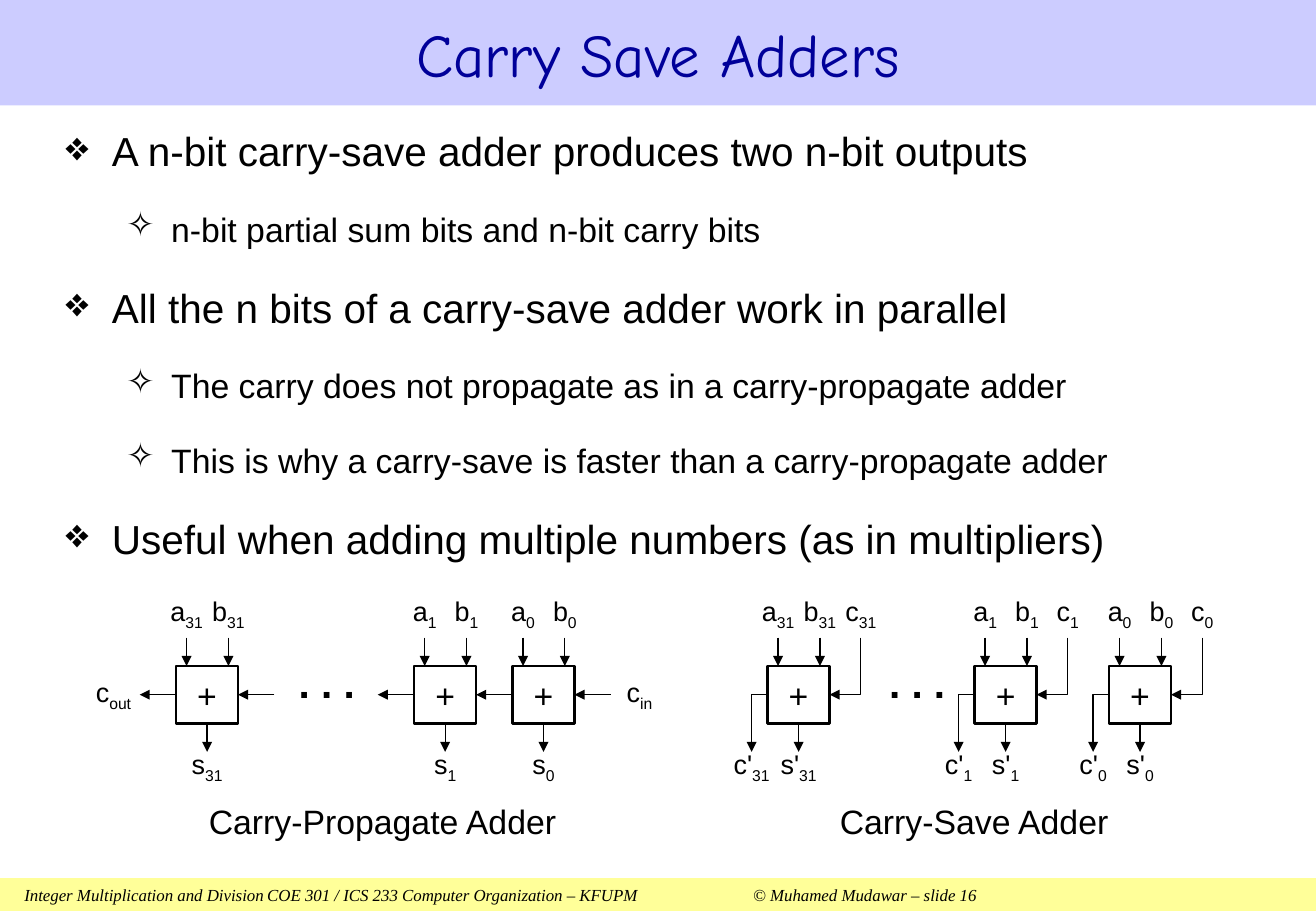
from dataclasses import dataclass

from lxml.etree import SubElement
from pptx import Presentation
from pptx.dml.color import RGBColor
from pptx.enum.shapes import MSO_CONNECTOR as Connector, MSO_SHAPE as Shape
from pptx.enum.text import MSO_ANCHOR as Anchor, PP_ALIGN as Align
from pptx.oxml.ns import qn
from pptx.util import Pt


@dataclass(frozen=True)
class Theme:
    black: RGBColor = RGBColor(0, 0, 0)
    title_ink: RGBColor = RGBColor(0, 0, 0x99)
    title_band: RGBColor = RGBColor(0xCC, 0xCC, 0xFF)
    footer_band: RGBColor = RGBColor(0xFF, 0xFF, 0x99)
    body_font: str = "Arial"
    title_font: str = "Comic Neue"
    footer_font: str = "Times New Roman"
    title_size: int = 36
    large: int = 24
    medium: int = 20
    signal_size: int = 16
    footer_size: int = 10
    wire: float = 0.75
    outline: float = 1.5


THEME = Theme()
TOP, BOTTOM, LEFT, RIGHT = range(4)  # connection sites, with their order in a rectangle
TOP, LEFT, BOTTOM, RIGHT = 0, 1, 2, 3

SLIDE_W, SLIDE_H = 780, 540
FOOTER_TABS = (144, 432)

# Adder cell geometry; the column offsets start at the cell's left edge
CELL_W, CELL_H, CELL_TOP = 36.7, 34, 394.8
CELL_MID, CELL_BOTTOM = CELL_TOP + CELL_H / 2, CELL_TOP + CELL_H
A_COL, B_COL, CARRY_IN_COL, CARRY_OUT_COL = 6.2, 31, 55.2, -9.5
INPUT_TOP, OUTPUT_END = 378, 445.7
INPUT_LABEL_TOP, OUTPUT_LABEL_TOP, CARRY_LABEL_TOP = 352.1, 442.8, 400.3
CARRY_LEN = 21.6

PROPAGATE_CELLS = (("0", 303.8), ("1", 245.5), ("31", 104.4))
SAVE_CELLS = (("31", 455), ("1", 577.7), ("0", 657.4))

BULLETS = (
    (0, "A n-bit carry-save adder produces two n-bit outputs"),
    (1, "n-bit partial sum bits and n-bit carry bits"),
    (0, "All the n bits of a carry-save adder work in parallel"),
    (1, "The carry does not propagate as in a carry-propagate adder"),
    (1, "This is why a carry-save is faster than a carry-propagate adder"),
    (0, "Useful when adding multiple numbers (as in multipliers)"),
)
# Per level: sign, text indent, hanging indent, type size
LEVELS = (("❖", 27.4, 27.4, THEME.large), ("✧", 62.6, 26.6, THEME.medium))


def set_font(paragraph, size, name=THEME.body_font, color=THEME.black):
    font = paragraph.font
    font.size, font.name, font.color.rgb = Pt(size), name, color
    return font


def set_frame(frame, anchor=Anchor.MIDDLE, side=0, edge=0):
    frame.word_wrap = True
    frame.vertical_anchor = anchor
    frame.margin_left = frame.margin_right = Pt(side)
    frame.margin_top = frame.margin_bottom = Pt(edge)


def add_box(slide, left, top, width, height, fill=None, outline=None):
    box = slide.shapes.add_shape(
        Shape.RECTANGLE, Pt(left), Pt(top), Pt(width), Pt(height))
    box.shadow.inherit = False
    if fill is None:
        box.fill.background()
    else:
        box.fill.solid()
        box.fill.fore_color.rgb = fill
    if outline is None:
        box.line.fill.background()
    else:
        box.line.color.rgb, box.line.width = THEME.black, Pt(outline)
    set_frame(box.text_frame)
    return box


def add_label(slide, text, center, top, width, height, size, subscript=""):
    label = slide.shapes.add_textbox(
        Pt(center - width / 2), Pt(top), Pt(width), Pt(height))
    set_frame(label.text_frame)
    paragraph = label.text_frame.paragraphs[0]
    paragraph.alignment = Align.CENTER
    font = set_font(paragraph, size)
    paragraph.add_run().text = text
    if subscript:
        index = paragraph.add_run()
        index.text = subscript
        index.font._element.set("baseline", "-25000")
    return font


def add_signal(slide, name, index, center, top):
    add_label(slide, name, center, top, 31, 22.3, THEME.signal_size, index)


def style_wire(wire, arrow_end):
    wire.line.color.rgb, wire.line.width = THEME.black, Pt(THEME.wire)
    SubElement(wire.line._get_or_add_ln(), qn(f"a:{arrow_end}"), type="triangle")


def add_arrow(slide, x1, y1, x2, y2, source=None, target=None):
    arrow = slide.shapes.add_connector(
        Connector.STRAIGHT, Pt(x1), Pt(y1), Pt(x2), Pt(y2))
    style_wire(arrow, "tailEnd")
    SubElement(arrow._element.spPr, qn("a:effectLst"))
    if source:
        arrow.begin_connect(*source)
    if target:
        arrow.end_connect(*target)


def add_bent_wire(slide, points, arrow_end):
    start, *rest = [(Pt(x), Pt(y)) for x, y in points]
    builder = slide.shapes.build_freeform(*start)
    builder.add_line_segments(rest, close=False)
    wire = builder.convert_to_shape()
    wire.shadow.inherit = False
    wire.fill.background()
    style_wire(wire, arrow_end)


def add_cell(slide, left, index, sum_name):
    """One-bit adder with its a and b inputs and its sum output."""
    cell = add_box(slide, left, CELL_TOP, CELL_W, CELL_H, outline=THEME.outline)
    plus = cell.text_frame.paragraphs[0]
    plus.text, plus.alignment = "+", Align.CENTER
    set_font(plus, THEME.medium)
    for name, column in (("a", A_COL), ("b", B_COL)):
        x = left + column
        add_arrow(slide, x, INPUT_TOP, x, CELL_TOP)
        add_signal(slide, name, index, x, INPUT_LABEL_TOP)
    middle = left + CELL_W / 2
    add_arrow(slide, middle, CELL_BOTTOM, middle, OUTPUT_END, source=(cell, BOTTOM))
    add_signal(slide, sum_name, index, middle, OUTPUT_LABEL_TOP)
    return cell


def add_caption(slide, caption, center, dots_center):
    add_label(slide, ". . .", dots_center, 388.8, 49, 31, THEME.large).bold = True
    add_label(slide, caption, center, 470.9, 258, 31, THEME.medium)


def add_propagate_adder(slide):
    previous = None
    for index, left in PROPAGATE_CELLS:
        cell = add_cell(slide, left, index, "s")
        right = left + CELL_W
        add_arrow(slide, right + CARRY_LEN, CELL_MID, right, CELL_MID,
                  source=(previous, LEFT) if index == "1" else None,
                  target=(cell, RIGHT))
        if index != "0":
            add_arrow(slide, left, CELL_MID, left - CARRY_LEN, CELL_MID,
                      source=(cell, LEFT))
        previous = cell
    add_signal(slide, "c", "out", 67.3, CARRY_LABEL_TOP)
    add_signal(slide, "c", "in", 379.1, CARRY_LABEL_TOP)
    add_caption(slide, "Carry-Propagate Adder", 226.8, 193.7)


def add_save_adder(slide):
    for index, left in SAVE_CELLS:
        add_cell(slide, left, index, "s'")
        carry_in, carry_out = left + CARRY_IN_COL, left + CARRY_OUT_COL
        add_bent_wire(slide, ((carry_in, INPUT_TOP), (carry_in, CELL_MID),
                              (left + CELL_W, CELL_MID)), "tailEnd")
        add_bent_wire(slide, ((carry_out, OUTPUT_END), (carry_out, CELL_MID),
                              (left, CELL_MID)), "headEnd")
        add_signal(slide, "c", index, carry_in, INPUT_LABEL_TOP)
        add_signal(slide, "c'", index, carry_out, OUTPUT_LABEL_TOP)
    add_caption(slide, "Carry-Save Adder", 577.4, 543.6)


def add_title(slide):
    band = add_box(slide, 0, 0, SLIDE_W, 62.6, fill=THEME.title_band)
    title = band.text_frame.paragraphs[0]
    title.text, title.alignment = "Carry Save Adders", Align.CENTER
    set_font(title, THEME.title_size, THEME.title_font, THEME.title_ink)


def add_footer(slide):
    band = add_box(slide, 0, 520.6, SLIDE_W, 19.4, fill=THEME.footer_band)
    set_frame(band.text_frame, side=14.4)
    credit = band.text_frame.paragraphs[0]
    credit.text = ("Integer Multiplication and Division\t"
                   "COE 301 / ICS 233 Computer Organization – KFUPM\t"
                   "© Muhamed Mudawar – slide 16")
    credit.alignment = Align.LEFT
    tabs = SubElement(credit._p.get_or_add_pPr(), qn("a:tabLst"))
    for stop in FOOTER_TABS:
        SubElement(tabs, qn("a:tab"), pos=str(Pt(stop)), algn="l")
    set_font(credit, THEME.footer_size, THEME.footer_font).italic = True


def add_bullets(slide):
    body = slide.shapes.add_textbox(Pt(38.9), Pt(71.3), Pt(707), Pt(278)).text_frame
    set_frame(body, Anchor.TOP, edge=3.6)
    for number, (level, text) in enumerate(BULLETS):
        point = body.add_paragraph() if number else body.paragraphs[0]
        sign, indent, hanging, size = LEVELS[level]
        point.text, point.level = text, level
        if number:
            point.space_before = Pt(20)
        properties = point._p.get_or_add_pPr()
        properties.set("marL", str(Pt(indent)))
        properties.set("indent", str(Pt(-hanging)))
        SubElement(properties, qn("a:buChar"), char=sign)
        set_font(point, size)


def main():
    deck = Presentation()
    deck.slide_width, deck.slide_height = Pt(SLIDE_W), Pt(SLIDE_H)
    slide = deck.slides.add_slide(deck.slide_layouts[6])
    # Frame and text
    add_footer(slide)
    add_title(slide)
    add_bullets(slide)
    # Diagrams
    add_propagate_adder(slide)
    add_save_adder(slide)
    deck.save("out.pptx")


if __name__ == "__main__":
    main()
